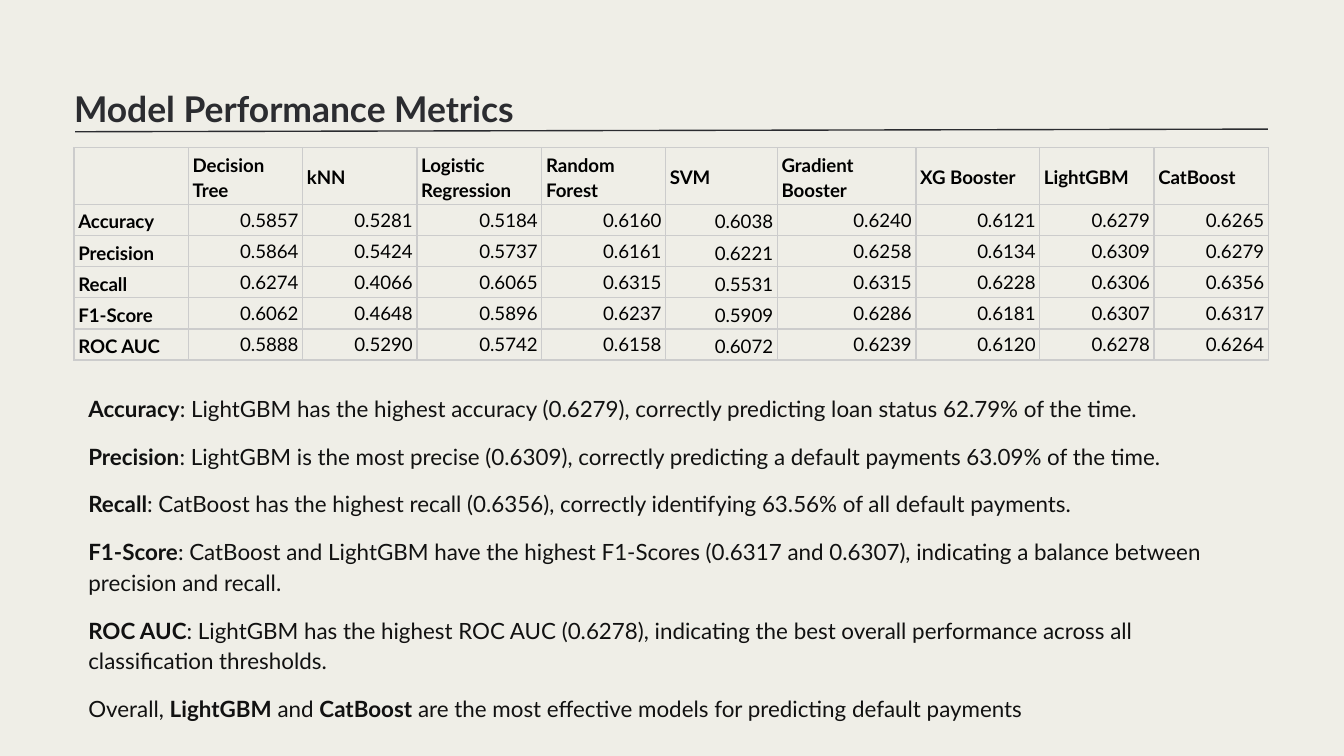
from lxml import etree
from pptx import Presentation
from pptx.dml.color import RGBColor
from pptx.enum.shapes import MSO_CONNECTOR
from pptx.enum.text import MSO_ANCHOR, MSO_AUTO_SIZE, PP_ALIGN
from pptx.oxml.ns import qn
from pptx.util import Cm, Pt

STRAIGHT = MSO_CONNECTOR.STRAIGHT
MIDDLE, BOTTOM = MSO_ANCHOR.MIDDLE, MSO_ANCHOR.BOTTOM
LEFT, RIGHT = PP_ALIGN.LEFT, PP_ALIGN.RIGHT
GROW = MSO_AUTO_SIZE.SHAPE_TO_FIT_TEXT

COLORS = {"bg": "EFEEE7", "title": "2B2C30", "grid": "CCCCCC",
          "cell": "000000", "body": "111111"}
FONT = "Lato"
MODELS = ["Decision Tree", "kNN", "Logistic Regression", "Random Forest", "SVM",
          "Gradient Booster", "XG Booster", "LightGBM", "CatBoost"]
METRICS = {
    "Accuracy": "0.5857 0.5281 0.5184 0.6160 0.6038 0.6240 0.6121 0.6279 0.6265",
    "Precision": "0.5864 0.5424 0.5737 0.6161 0.6221 0.6258 0.6134 0.6309 0.6279",
    "Recall": "0.6274 0.4066 0.6065 0.6315 0.5531 0.6315 0.6228 0.6306 0.6356",
    "F1-Score": "0.6062 0.4648 0.5896 0.6237 0.5909 0.6286 0.6181 0.6307 0.6317",
    "ROC AUC": "0.5888 0.5290 0.5742 0.6158 0.6072 0.6239 0.6120 0.6278 0.6264",
}
COL_WIDTHS = [2.16, 2.16, 2.16, 2.36, 2.34, 2.11, 2.62, 2.34, 2.16, 2.16]
ROW_HEIGHT = 0.56
FINDINGS = [
    "**Accuracy**: LightGBM has the highest accuracy (0.6279), "
    "correctly predicting loan status 62.79% of the time.",
    "**Precision**: LightGBM is the most precise (0.6309), "
    "correctly predicting a default payments 63.09% of the time.",
    "**Recall**: CatBoost has the highest recall (0.6356), "
    "correctly identifying 63.56% of all default payments.",
    "**F1-Score**: CatBoost and LightGBM have the highest F1-Scores "
    "(0.6317 and 0.6307), indicating a balance between precision and recall.",
    "**ROC AUC**: LightGBM has the highest ROC AUC (0.6278), indicating "
    "the best overall performance across all classification thresholds.",
    "Overall, **LightGBM** and **CatBoost** are the most effective models "
    "for predicting default payments",
]


def apply(obj, values):
    """Set every attribute named in values on obj."""
    for name, value in values.items():
        setattr(obj, name, value)


def write(p, text, size, color, **fmt):
    """Fill a paragraph, with **marked** parts in bold."""
    apply(p, fmt)
    for i, part in enumerate(text.split("**")):
        if part:
            r = p.add_run()
            r.text = part
            apply(r.font, {"name": FONT, "size": Pt(size), "bold": i % 2 == 1})
            r.font.color.rgb = RGBColor.from_string(COLORS[color])


def add_text(slide, box, inset):
    """Add a wrapping text box and return its text frame."""
    tf = slide.shapes.add_textbox(*map(Cm, box)).text_frame
    sides = ("left", "top", "right", "bottom")
    apply(tf, {f"margin_{side}": Cm(inset) for side in sides})
    apply(tf, {"word_wrap": True, "auto_size": GROW})
    return tf


def add_title(slide, box):
    """Place the heading and the rule below it."""
    x, y, w, h = box
    tf = add_text(slide, box, 0)
    write(tf.paragraphs[0], "**Model Performance Metrics**", 19, "title",
          line_spacing=1.4)
    line = slide.shapes.add_connector(
        STRAIGHT, Cm(x + 0.02), Cm(y + 1.17), Cm(x + w), Cm(y + 1.12))
    line.line.color.rgb = RGBColor.from_string(COLORS["title"])
    line.line.width = Pt(0.75)
    etree.SubElement(line._element.spPr, qn("a:effectLst"))


def add_borders(cell):
    """Draw a thin line on all four sides of a cell."""
    tcPr = cell._tc.get_or_add_tcPr()
    for side in "LRTB":
        ln = etree.SubElement(tcPr, qn(f"a:ln{side}"), w=str(Pt(0.75)))
        fill = etree.SubElement(ln, qn("a:solidFill"))
        etree.SubElement(fill, qn("a:srgbClr"), val=COLORS["grid"])


def add_metrics(slide, x, y):
    """Place the table of metrics by model."""
    rows = [["", *MODELS]] + [[k, *v.split()] for k, v in METRICS.items()]
    table = slide.shapes.add_table(
        len(rows), len(COL_WIDTHS), Cm(x), Cm(y),
        Cm(sum(COL_WIDTHS)), Cm(ROW_HEIGHT * len(rows))).table
    apply(table, {"first_row": False, "horz_banding": False})
    for col, width in zip(table.columns, COL_WIDTHS):
        col.width = Cm(width)
    svm = MODELS.index("SVM") + 1
    for i, row in enumerate(rows):
        table.rows[i].height = Cm(ROW_HEIGHT)
        for j, text in enumerate(row):
            cell = table.cell(i, j)
            label = i == 0 or j == 0
            low = i > 0 and j in (0, svm)
            apply(cell, {"margin_left": Cm(0.08), "margin_right": Cm(0.08),
                         "margin_top": Cm(0.05), "margin_bottom": Cm(0.05),
                         "vertical_anchor": BOTTOM if low else MIDDLE})
            add_borders(cell)
            cell.fill.background()
            write(cell.text_frame.paragraphs[0],
                  f"**{text}**" if label else text, 10, "cell",
                  alignment=LEFT if label else RIGHT,
                  line_spacing=1.15 if label or low else 1.0)


def add_findings(slide, box):
    """Place the paragraphs that explain the metrics."""
    tf = add_text(slide, box, 0.25)
    for i, text in enumerate(FINDINGS):
        p = tf.add_paragraph() if i else tf.paragraphs[0]
        write(p, text, 12, "body", line_spacing=1.15, space_before=Pt(9))


def main():
    """Build and save the slide."""
    prs = Presentation()
    apply(prs, {"slide_width": Cm(25.4), "slide_height": Cm(14.29)})
    slide = prs.slides.add_slide(prs.slide_layouts[6])
    slide.background.fill.solid()
    slide.background.fill.fore_color.rgb = RGBColor.from_string(COLORS["bg"])
    add_title(slide, (1.4, 1.32, 22.56, 0.81))
    add_metrics(slide, 1.4, 2.79)
    add_findings(slide, (1.42, 7.14, 22.56, 6.76))
    prs.save("out.pptx")


if __name__ == "__main__":
    main()
